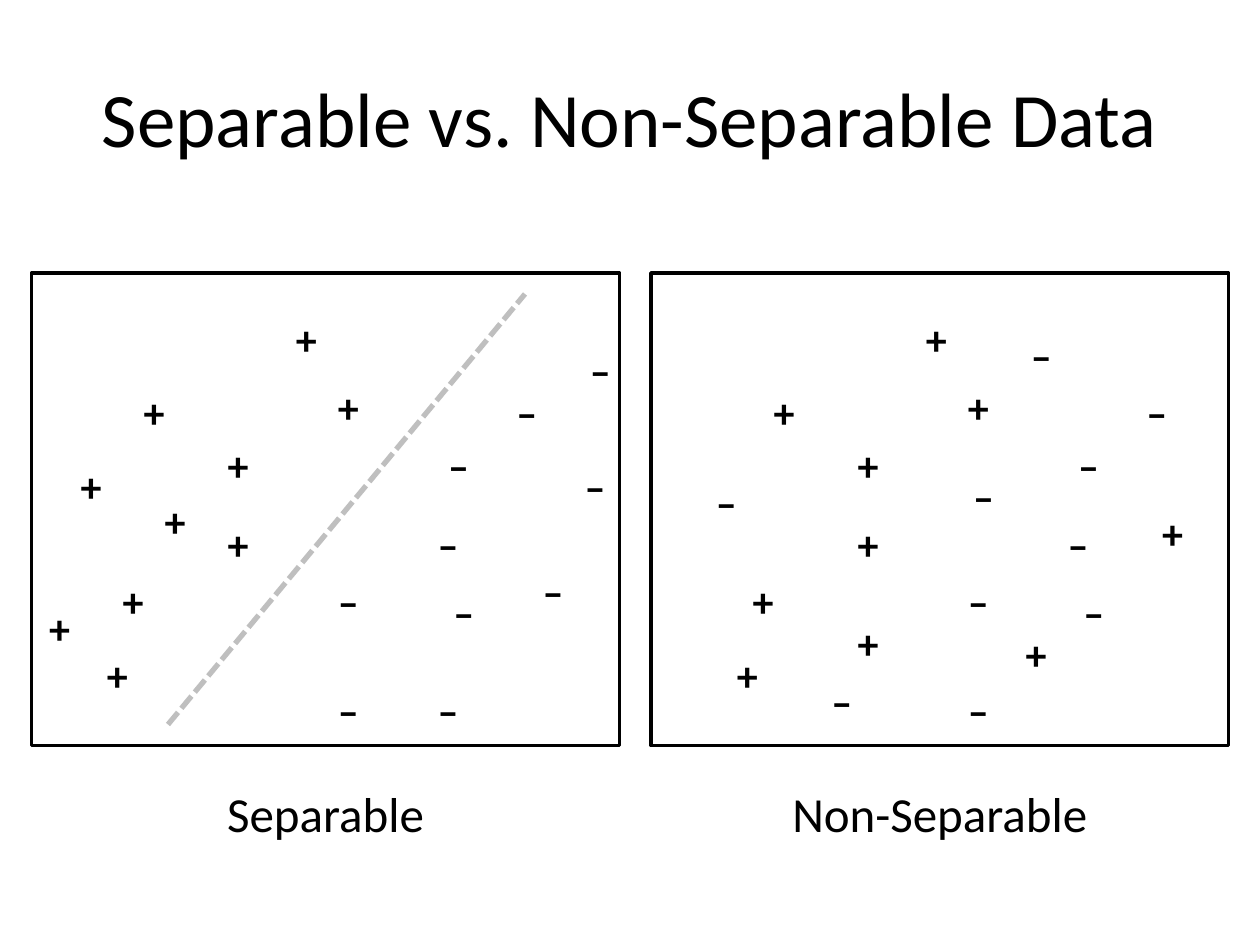
from lxml.etree import SubElement
from pptx import Presentation
from pptx.dml.color import RGBColor
from pptx.enum.dml import MSO_LINE
from pptx.enum.shapes import MSO_CONNECTOR, MSO_SHAPE
from pptx.enum.text import MSO_ANCHOR, MSO_AUTO_SIZE, PP_ALIGN
from pptx.oxml.ns import qn
from pptx.util import Pt

PX = 9525  # EMU per px, 96 px to the inch
BLACK, GREY = "000000", "BFBFBF"
TITLE = "Separable vs. Non-Separable Data"
FRAME_TOP, FRAME_HEIGHT = 208, 360
CAPTION_TOP, CAPTION_HEIGHT = 592, 55
MARK_WIDTH = {"+": 20, "–": 24}
MARK_HEIGHT = 24
BOUNDARY = (128, 552, 400, 224)

# Top left corners of the marks, with x counted from the panel's origin
SHARED = {
    "+": [(100, 290), (72, 490), (248, 286), (164, 330), (216, 234),
          (84, 434), (164, 390)],
    "–": [(384, 290), (336, 442), (324, 390), (248, 517), (332, 330),
          (248, 434)],
}
PANELS = [
    {"caption": "Separable", "origin": 0, "left": 24, "width": 448,
     "own": {"+": [(28, 454), (52, 346), (116, 373)],
             "–": [(440, 258), (324, 517), (404, 426), (436, 346)]}},
    {"caption": "Non-Separable", "origin": 480, "left": 496, "width": 440,
     "own": {"+": [(396, 382), (164, 466), (292, 474)],
             "–": [(56, 358), (144, 510), (296, 246), (252, 354)]}},
]


def px(*lengths):
    return [length * PX for length in lengths]


def colour(value):
    return RGBColor.from_string(value)


def add_text(shapes, text, box, size, bold=False):
    """Add a centred, wrapping text box and return its frame."""
    frame = shapes.add_textbox(*px(*box)).text_frame
    frame.word_wrap = True
    frame.auto_size = MSO_AUTO_SIZE.SHAPE_TO_FIT_TEXT
    paragraph = frame.paragraphs[0]
    paragraph.alignment = PP_ALIGN.CENTER
    run = paragraph.add_run()
    run.text = text
    font = run.font
    font.name, font.size, font.bold = "Calibri", Pt(size), bold
    font.color.rgb = colour(BLACK)
    return frame


def add_marks(shapes, panel):
    group = shapes.add_group_shape()
    for sign, width in MARK_WIDTH.items():
        for x, y in SHARED[sign] + panel["own"][sign]:
            box = (panel["origin"] + x, y, width, MARK_HEIGHT)
            add_text(group.shapes, sign, box, 24, bold=True)


def add_frame(shapes, panel):
    box = (panel["left"], FRAME_TOP, panel["width"], FRAME_HEIGHT)
    frame = shapes.add_shape(MSO_SHAPE.RECTANGLE, *px(*box))
    frame.shadow.inherit = False
    frame.fill.background()
    frame.line.color.rgb = colour(BLACK)
    frame.line.width = Pt(2)


def add_boundary(shapes):
    boundary = shapes.add_connector(MSO_CONNECTOR.STRAIGHT, *px(*BOUNDARY))
    boundary.line.color.rgb = colour(GREY)
    boundary.line.width = Pt(3)
    boundary.line.dash_style = MSO_LINE.SQUARE_DOT
    SubElement(boundary._element.spPr, qn("a:effectLst"))


def main():
    deck = Presentation()
    deck.slide_width, deck.slide_height = px(960, 720)
    shapes = deck.slides.add_slide(deck.slide_layouts[6]).shapes

    for panel in PANELS:
        add_marks(shapes, panel)
    title = add_text(shapes, TITLE, (48, 29, 864, 120), 44)
    title.auto_size = MSO_AUTO_SIZE.NONE
    title.vertical_anchor = MSO_ANCHOR.MIDDLE
    for panel in PANELS:
        add_frame(shapes, panel)
    add_boundary(shapes)
    for panel in PANELS:
        box = (panel["left"], CAPTION_TOP, panel["width"], CAPTION_HEIGHT)
        add_text(shapes, panel["caption"], box, 28)

    deck.save("out.pptx")


if __name__ == "__main__":
    main()
